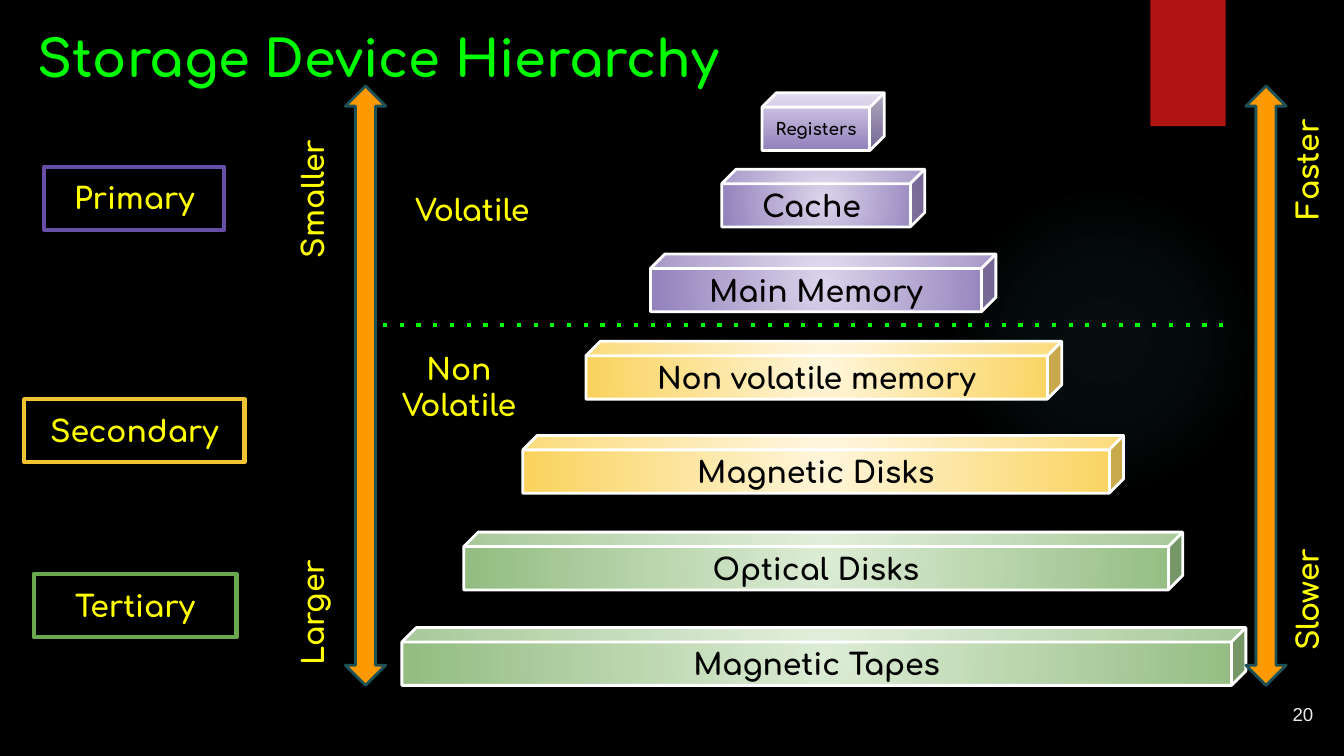
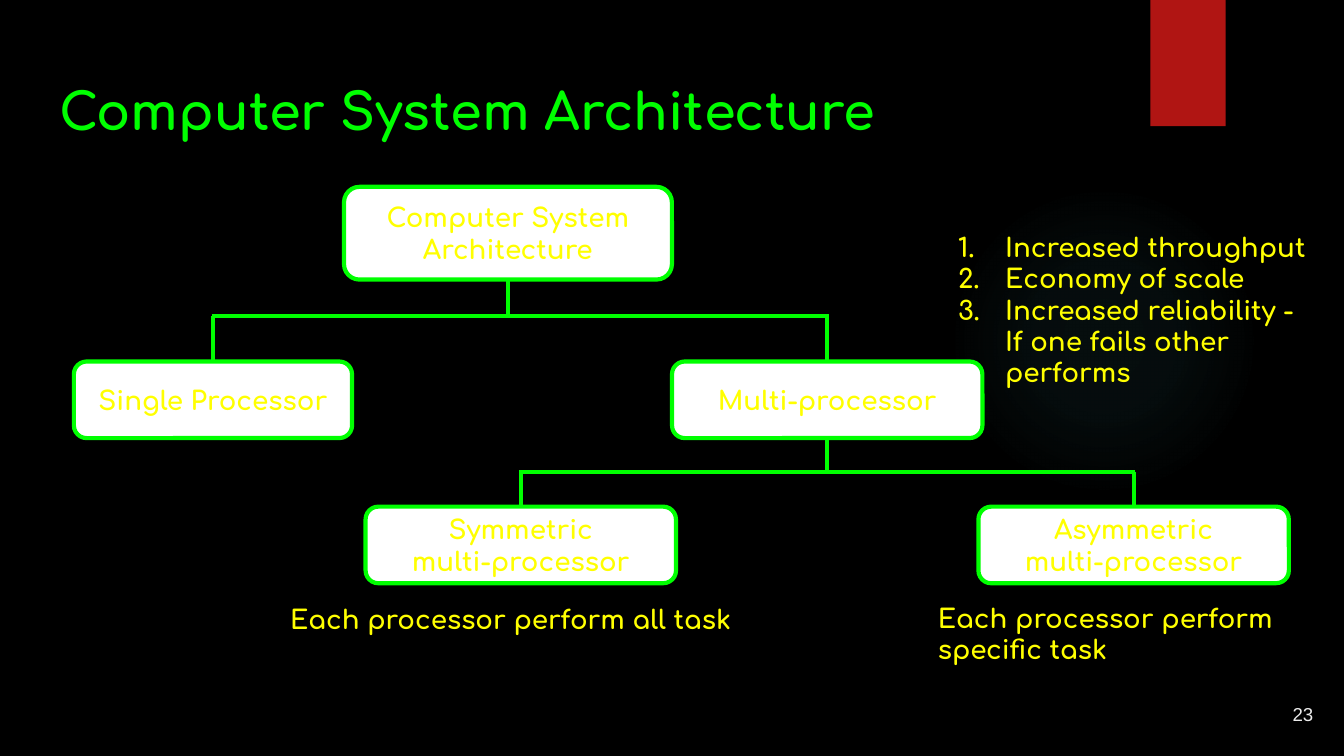
from lxml import etree
from pptx import Presentation
from pptx import util as u
from pptx.dml.color import RGBColor
from pptx.enum import shapes, text
from pptx.oxml.ns import qn

PX = 9144  # EMU in one px: 100 px to the inch
COLORS = {
    "black": "000000", "white": "FFFFFF", "title": "00FF00", "label": "FFFF00",
    "number": "EBEBEB", "band": "B01513", "glow": "50B9C1",
    "arrow": "FF9900", "arrow edge": "1E5155",
    "primary": "674EA7", "secondary": "F1C232", "tertiary": "6AA84F",
}
BAR_SHADES = {
    "primary": ("DBD4EB", "9180BB"),
    "secondary": ("FFF6DB", "FAD25C"),
    "tertiary": ("DCECD5", "93BC81"),
}
SHAPE = shapes.MSO_SHAPE
ALIGN = text.PP_ALIGN
ANCHOR = text.MSO_ANCHOR
FRAME = {
    "word_wrap": True, "auto_size": text.MSO_AUTO_SIZE.NONE,
    "vertical_anchor": ANCHOR.TOP,
    "margin_left": 10 * PX, "margin_right": 10 * PX,
    "margin_top": 10 * PX, "margin_bottom": 10 * PX,
}
FONT = {"name": "Comfortaa", "bold": True}


def rgb(name):
    return RGBColor.from_string(COLORS[name])


def scaled(box):
    return [length * PX for length in box]


def set_all(target, values):
    for name, value in values.items():
        setattr(target, name, value)


def number_items(paragraphs, numbered):
    """Indent all paragraphs and number the first ones."""
    for index, paragraph in enumerate(paragraphs):
        properties = paragraph._p.get_or_add_pPr()
        properties.set("marL", str(50 * PX))
        properties.set("indent", str(-35 * PX if index < numbered else 0))
        if index < numbered:
            color = etree.SubElement(properties, qn("a:buClr"))
            etree.SubElement(color, qn("a:srgbClr"), val=COLORS["label"])
            etree.SubElement(properties, qn("a:buAutoNum"), type="arabicPeriod")


def write(shape, lines, size, color="label", align=ALIGN.CENTER, font=FONT,
          numbered=0, **frame):
    """Fill a shape with one paragraph per line."""
    set_all(shape.text_frame, {**FRAME, **frame})
    shape.text_frame.text = "\n".join(lines)
    if numbered:
        number_items(shape.text_frame.paragraphs, numbered)
    for paragraph in shape.text_frame.paragraphs:
        paragraph.alignment = align
        set_all(paragraph.font, {**font, "size": u.Pt(size)})
        paragraph.font.color.rgb = rgb(color)


def add_label(slide, box, lines, size=16, align=ALIGN.LEFT, rotation=0, numbered=0):
    label = slide.shapes.add_textbox(*scaled(box))
    label.rotation = rotation
    write(label, lines, size, align=align, numbered=numbered,
          auto_size=text.MSO_AUTO_SIZE.SHAPE_TO_FIT_TEXT)
    return label


def add_block(slide, kind, box, fill=None, line=None, width=2.25):
    block = slide.shapes.add_shape(kind, *scaled(box))
    block.shadow.inherit = False
    if fill:
        block.fill.solid()
        block.fill.fore_color.rgb = rgb(fill)
    if line:
        block.line.color.rgb = rgb(line)
        block.line.width = u.Pt(width)
    else:
        block.line.fill.background()
    return block


def add_gradient(shape, stops, angle=None):
    """Shade with (position, hex, alpha) percent stops: radial, or linear with an angle."""
    gradient = etree.Element(qn("a:gradFill"), rotWithShape="1")
    stop_list = etree.SubElement(gradient, qn("a:gsLst"))
    for position, color, alpha in stops:
        stop = etree.SubElement(stop_list, qn("a:gs"), pos=str(position * 1000))
        tint = etree.SubElement(stop, qn("a:srgbClr"), val=color)
        if alpha < 100:
            etree.SubElement(tint, qn("a:alpha"), val=str(alpha * 1000))
    if angle is None:
        radial = etree.SubElement(gradient, qn("a:path"), {"path": "circle"})
        etree.SubElement(radial, qn("a:fillToRect"),
                         {side: "50000" for side in "ltrb"})
    else:
        etree.SubElement(gradient, qn("a:lin"), ang=str(angle * 60000), scaled="0")
    shape.element.spPr.find(qn("a:prstGeom")).addnext(gradient)


def add_line(slide, x1, y1, x2, y2, dash=None):
    """Draw a green line between points given in EMU."""
    line = slide.shapes.add_connector(shapes.MSO_CONNECTOR.STRAIGHT, x1, y1, x2, y2)
    line.line.color.rgb = rgb("title")
    line.line.width = u.Pt(2.25)
    properties = line.element.spPr
    if dash:
        etree.SubElement(properties.find(qn("a:ln")), qn("a:prstDash"), val=dash)
    etree.SubElement(properties, qn("a:effectLst"))
    return line


def add_base(deck, title, title_box, number):
    """Add a slide with the glow, band, title and page number."""
    slide = deck.slides.add_slide(deck.slide_layouts[5])
    glow = add_block(slide, SHAPE.OVAL, (706, 138, 231, 231))
    add_gradient(glow, [(0, COLORS["glow"], 7), (36, COLORS["glow"], 6),
                        (69, COLORS["glow"], 0)])
    add_block(slide, SHAPE.RECTANGLE, (856, 0, 56, 94), "band")
    heading = slide.shapes.title
    set_all(heading, dict(zip(("left", "top", "width", "height"), scaled(title_box))))
    write(heading, [title], 27.2, "title", ALIGN.LEFT)
    page = slide.shapes.add_textbox(*scaled((927, 510, 60, 43)))
    write(page, [number], 10, "number", ALIGN.RIGHT, {"name": "Arial"},
          vertical_anchor=ANCHOR.MIDDLE)
    return slide


def add_bar(slide, name, tier, top, width, size=16, angle=None):
    """Add one storage level, centred on the pyramid's axis."""
    bar = add_block(slide, SHAPE.CUBE, ((1226 - width) // 2, top, width, 43),
                    line="white", width=1.5)
    light, dark = BAR_SHADES[tier]
    add_gradient(bar, [(0, light, 100), (100, dark, 100)], angle)
    write(bar, [name], size, "black", vertical_anchor=ANCHOR.MIDDLE)


def add_node(slide, box, *lines):
    node = add_block(slide, SHAPE.ROUNDED_RECTANGLE, box, "white", "title")
    write(node, lines, 14, vertical_anchor=ANCHOR.MIDDLE)
    return node


def add_branch(slide, parent, children, bus_top):
    """Join a parent node to its children through a horizontal bus."""
    def middle(node):
        return node.left + node.width // 2

    bus = bus_top * PX
    stem = add_line(slide, middle(parent), parent.top + parent.height,
                    middle(parent), bus)
    stem.begin_connect(parent, 2)
    add_line(slide, middle(children[0]) - PX, bus, middle(children[-1]) + PX, bus)
    for child in children:
        drop = add_line(slide, middle(child), bus, middle(child), child.top)
        drop.end_connect(child, 0)


def build_hierarchy(deck):
    slide = add_base(deck, "Storage Device Hierarchy", (18, 10, 932, 63), "20")
    for name, tier, top, width in (
        ("Magnetic Tapes", "tertiary", 467, 628),
        ("Optical Disks", "tertiary", 396, 535),
        ("Magnetic Disks", "secondary", 324, 447),
        ("Non volatile memory", "secondary", 254, 354),
        ("Main Memory", "primary", 189, 257),
        ("Cache ", "primary", 126, 151),
    ):
        add_bar(slide, name, tier, top, width)
    add_bar(slide, "Registers", "primary", 69, 91, size=9, angle=90)
    for left in (927, 257):
        add_block(slide, SHAPE.UP_DOWN_ARROW, (left, 64, 30, 446),
                  "arrow", "arrow edge", 1.5)
    for name, left, top in (("Faster", 918, 95), ("Slower", 918, 416),
                            ("Larger", 178, 427), ("Smaller", 178, 124)):
        add_label(slide, (left, top, 109, 47), [name], rotation=270)
    add_line(slide, *scaled((285, 242, 919, 242)), dash="dot")
    add_label(slide, (299, 133, 109, 47), ["Volatile"])
    add_label(slide, (287, 251, 109, 74), ["Non", "Volatile"], align=ALIGN.CENTER)
    for tier, left, top, width in (("primary", 33, 124, 134),
                                   ("secondary", 18, 297, 164),
                                   ("tertiary", 25, 427, 151)):
        frame = add_label(slide, (left, top, width, 47), [tier.capitalize()],
                          align=ALIGN.CENTER)
        frame.line.color.rgb = rgb(tier)
        frame.line.width = u.Pt(2.25)


def build_architecture(deck):
    slide = add_base(deck, "Computer System Architecture", (34, 49, 932, 63), "23")
    system = add_node(slide, (256, 139, 244, 69), "Computer System Architecture")
    single = add_node(slide, (55, 269, 207, 57), "Single Processor")
    multi = add_node(slide, (500, 269, 231, 57), "Multi-processor")
    symmetric = add_node(slide, (272, 377, 231, 57), "Symmetric", "multi-processor")
    asymmetric = add_node(slide, (728, 377, 231, 57), "Asymmetric", "multi-processor")
    add_branch(slide, system, [single, multi], 235)
    add_branch(slide, multi, [symmetric, asymmetric], 351)
    add_label(slide, (688, 162, 309, 138), [
        "Increased throughput", "Economy of scale", "Increased reliability -",
        "If one fails other performs"], 14, numbered=3)
    add_label(slide, (206, 439, 362, 44), ["Each processor perform all task"], 14)
    add_label(slide, (688, 438, 287, 67),
              ["Each processor perform", "specific task"], 14)


def main():
    deck = Presentation()
    deck.slide_width = 1000 * PX
    deck.slide_height = deck.slide_width * 9 // 16
    backdrop = deck.slide_master.background.fill
    backdrop.solid()
    backdrop.fore_color.rgb = rgb("black")
    build_hierarchy(deck)
    build_architecture(deck)
    deck.save("out.pptx")


if __name__ == "__main__":
    main()
